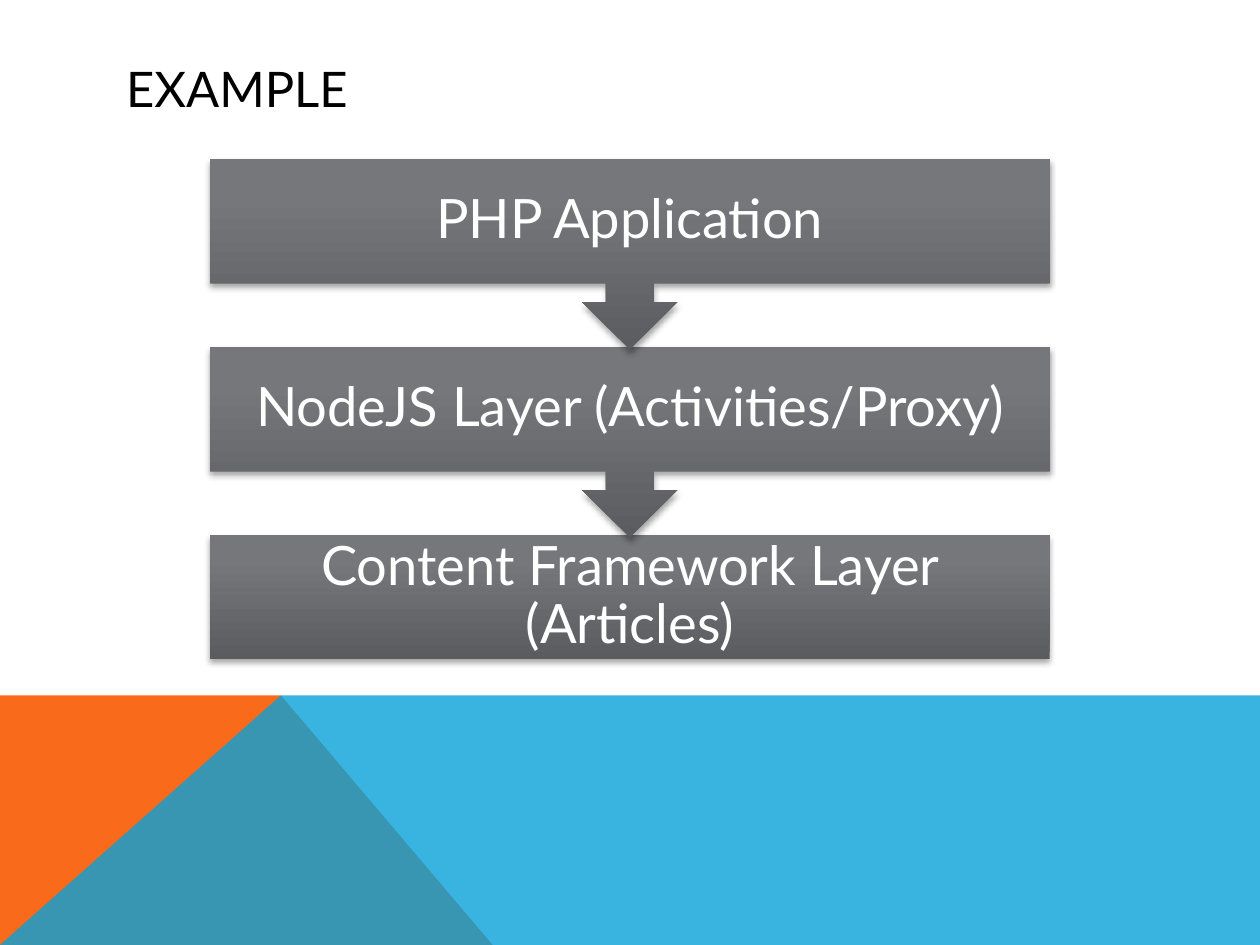
import pptx
import pptx.dml.color
import pptx.enum.shapes
import pptx.enum.text
import pptx.oxml
import pptx.oxml.ns
import pptx.util

Cm = pptx.util.Cm
Pt = pptx.util.Pt
SHAPES = pptx.enum.shapes.MSO_SHAPE
FONT = "Lato"
NAMESPACE = pptx.oxml.ns.nsdecls("a")
GRADIENT = ((0, "5A5C5F"), (80, "75777B"), (100, "75787C"))


def rgb(value):
    return pptx.dml.color.RGBColor.from_string(value)


def format_paragraph(paragraph, size, color, alignment):
    paragraph.font.name = FONT
    paragraph.font.size = Pt(size)
    paragraph.font.color.rgb = rgb(color)
    paragraph.alignment = alignment


def add_title(slide, text, left, top, width, height):
    title = slide.shapes.title
    title.left, title.top = Cm(left), Cm(top)
    title.width, title.height = Cm(width), Cm(height)
    title.text_frame.text = text
    title.text_frame.vertical_anchor = pptx.enum.text.MSO_ANCHOR.MIDDLE
    format_paragraph(title.text_frame.paragraphs[0], 28, "000000", pptx.enum.text.PP_ALIGN.LEFT)


def add_panel(slide, points, color, opacity=100):
    corners = [(Cm(x), Cm(y)) for x, y in points]
    builder = slide.shapes.build_freeform(*corners[0])
    builder.add_line_segments(corners[1:], close=True)
    panel = builder.convert_to_shape()
    panel.shadow.inherit = False
    panel.line.fill.background()
    panel.fill.solid()
    panel.fill.fore_color.rgb = rgb(color)
    if opacity < 100:
        color_element = panel.element.spPr.find(".//" + pptx.oxml.ns.qn("a:srgbClr"))
        color_element.append(pptx.oxml.parse_xml(f'<a:alpha {NAMESPACE} val="{opacity * 1000}"/>'))


def add_footer_band(slide, left, top, width, height):
    right, bottom = left + width, top + height
    peak = (left + 0.223 * width, top)
    add_panel(slide, [(left, bottom), (left, top), peak, (left + 0.391 * width, bottom)], "F96A1B")
    add_panel(slide, [(left, bottom), peak, (right, top), (right, bottom)], "08A1D9", 80)


def style_block(shape):
    shape.shadow.inherit = False
    shape.line.fill.background()
    shape.fill.background()
    properties = shape.element.spPr
    stops = "".join(
        f'<a:gs pos="{position * 1000}"><a:srgbClr val="{color}"/></a:gs>'
        for position, color in GRADIENT
    )
    gradient = pptx.oxml.parse_xml(
        f'<a:gradFill {NAMESPACE} rotWithShape="0"><a:gsLst>{stops}</a:gsLst>'
        '<a:lin ang="16200000" scaled="0"/></a:gradFill>'
    )
    properties.replace(properties.find(pptx.oxml.ns.qn("a:noFill")), gradient)
    shadow = pptx.oxml.parse_xml(
        f'<a:outerShdw {NAMESPACE} blurRad="{Pt(3.1)}" dist="{Pt(1.8)}" dir="5400000" '
        'rotWithShape="0"><a:srgbClr val="000000"><a:alpha val="35000"/></a:srgbClr></a:outerShdw>'
    )
    properties.find(pptx.oxml.ns.qn("a:effectLst")).append(shadow)


def add_block_label(slide, text, left, top, width, height):
    label = slide.shapes.add_textbox(Cm(left), Cm(top), Cm(width), Cm(height))
    frame = label.text_frame
    frame.word_wrap = True
    frame.vertical_anchor = pptx.enum.text.MSO_ANCHOR.MIDDLE
    frame.margin_left = frame.margin_right = Cm(0.61)
    frame.margin_top = frame.margin_bottom = Cm(0.61)
    frame.text = text
    paragraph = frame.paragraphs[0]
    paragraph.line_spacing = 0.9
    format_paragraph(paragraph, 31, "FFFFFF", pptx.enum.text.PP_ALIGN.CENTER)


def add_process(slide, steps, left, top, width, pitch):
    block_height, callout_height = 2.49, 3.84
    last = len(steps) - 1
    for index in range(last, -1, -1):
        block_top = top + index * pitch
        if index == last:
            kind, height, rotation = SHAPES.RECTANGLE, block_height, 0
        else:
            kind, height, rotation = SHAPES.UP_ARROW_CALLOUT, callout_height, 180
        block = slide.shapes.add_shape(kind, Cm(left), Cm(block_top), Cm(width), Cm(height))
        block.rotation = rotation
        style_block(block)
        add_block_label(slide, steps[index], left, block_top, width, block_height)


presentation = pptx.Presentation()
presentation.slide_width = Cm(25.4)
presentation.slide_height = Cm(19.05)
slide = presentation.slides.add_slide(presentation.slide_layouts[5])
add_footer_band(slide, 0, 14.02, 25.4, 5.03)
add_title(slide, "EXAMPLE", 2.29, 1.02, 20.88, 1.52)
add_process(
    slide,
    ["PHP Application", "NodeJS Layer (Activities/Proxy)", "Content Framework Layer (Articles)"],
    4.23, 3.21, 16.93, 3.79,
)
presentation.save("out.pptx")
